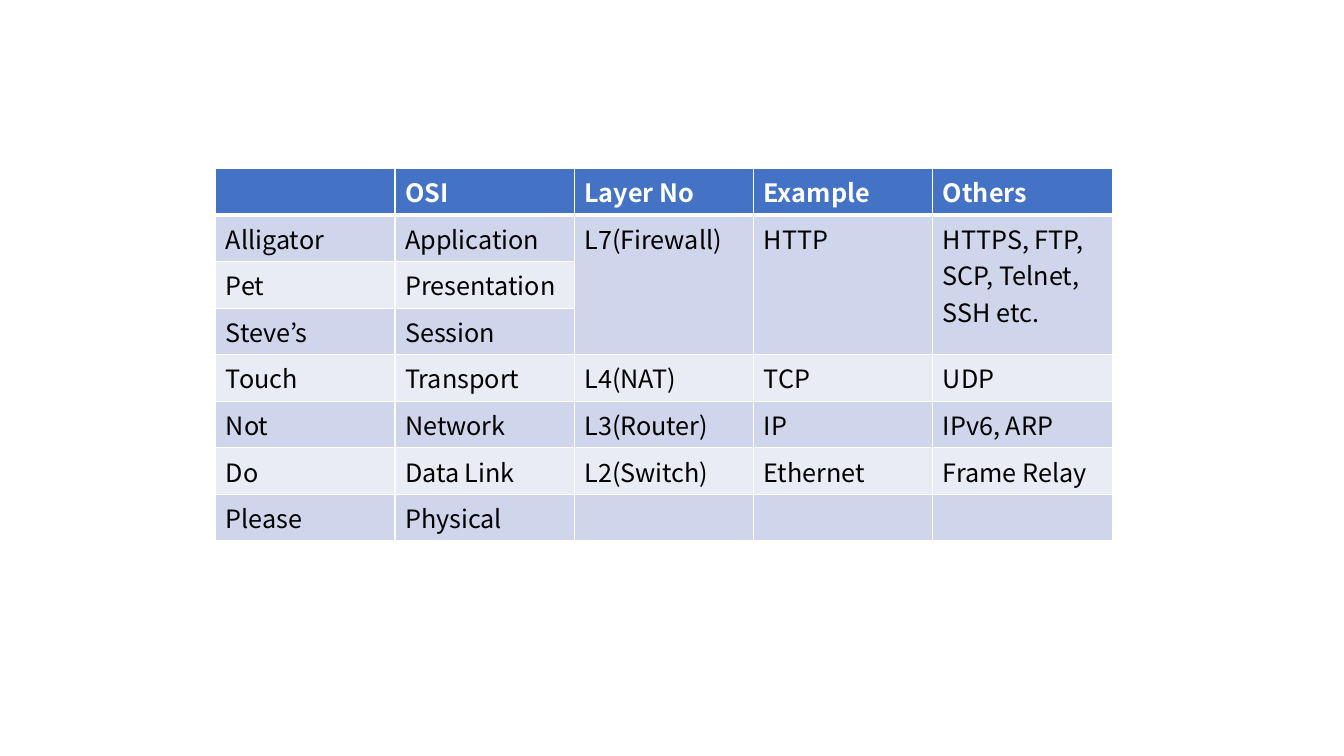
from lxml import etree
from pptx import Presentation
from pptx import util as u
from pptx.dml.color import RGBColor
from pptx.oxml.ns import qn

FONT = "Noto Sans CJK KR"
WHITE, BLACK, BLUE = "FFFFFF", "000000", "4472C4"
BANDS = ("CFD5EA", "E9EBF5")
HEADER = ("", "OSI", "Layer No", "Example", "Others")
LAYERS = (
    ("Alligator", "Application", "L7(Firewall)", "HTTP",
     "HTTPS, FTP, SCP, Telnet, SSH etc."),
    ("Pet", "Presentation", "", "", ""),
    ("Steve’s", "Session", "", "", ""),
    ("Touch", "Transport", "L4(NAT)", "TCP", "UDP"),
    ("Not", "Network", "L3(Router)", "IP", "IPv6, ARP"),
    ("Do", "Data Link", "L2(Switch)", "Ethernet", "Frame Relay"),
    ("Please", "Physical", "", "", ""),
)
MERGED_ROWS = (1, 3)
MERGED_COLUMNS = (2, 3, 4)


def color(value):
    """Turn a hex string into a colour."""
    return RGBColor.from_string(value)


def set_borders(cell, widths):
    """Draw white borders; widths maps a side letter to points."""
    tc_pr = cell._tc.get_or_add_tcPr()
    for i, side in enumerate("LRTB"):
        ln = etree.Element(qn(f"a:ln{side}"), w=str(u.Pt(widths[side])))
        fill = etree.SubElement(ln, qn("a:solidFill"))
        etree.SubElement(fill, qn("a:srgbClr"), val=WHITE)
        tc_pr.insert(i, ln)


def style_cell(cell, value, row):
    """Write one cell and style it by its row."""
    is_header = row == 0
    cell.fill.solid()
    cell.fill.fore_color.rgb = color(BLUE if is_header else BANDS[(row - 1) % 2])
    set_borders(cell, {"L": 1, "R": 1, "T": 3 if row == 1 else 1,
                       "B": 3 if is_header else 1})
    p = cell.text_frame.paragraphs[0]
    p.text = value
    p.font.size = u.Pt(18)
    for r in p.runs:
        r.font.name = FONT
        r.font.size = u.Pt(18)
        r.font.bold = is_header
        r.font.color.rgb = color(WHITE if is_header else BLACK)


def add_osi_table(s, left, top, width, height):
    """Add the OSI layer table with equal columns and rows in the given box."""
    rows = (HEADER,) + LAYERS
    table = s.shapes.add_table(len(rows), len(HEADER), left, top, width, height).table
    for i, values in enumerate(rows):
        for j, value in enumerate(values):
            style_cell(table.cell(i, j), value, i)
    first, last = MERGED_ROWS
    for j in MERGED_COLUMNS:
        table.cell(first, j).merge(table.cell(last, j))


prs = Presentation()
prs.slide_width, prs.slide_height = u.Inches(13.33), u.Inches(7.5)
s = prs.slides.add_slide(prs.slide_layouts[6])
add_osi_table(s, u.Inches(2.14), u.Inches(1.67), u.Inches(8.89), u.Inches(3.24))
prs.save("out.pptx")
